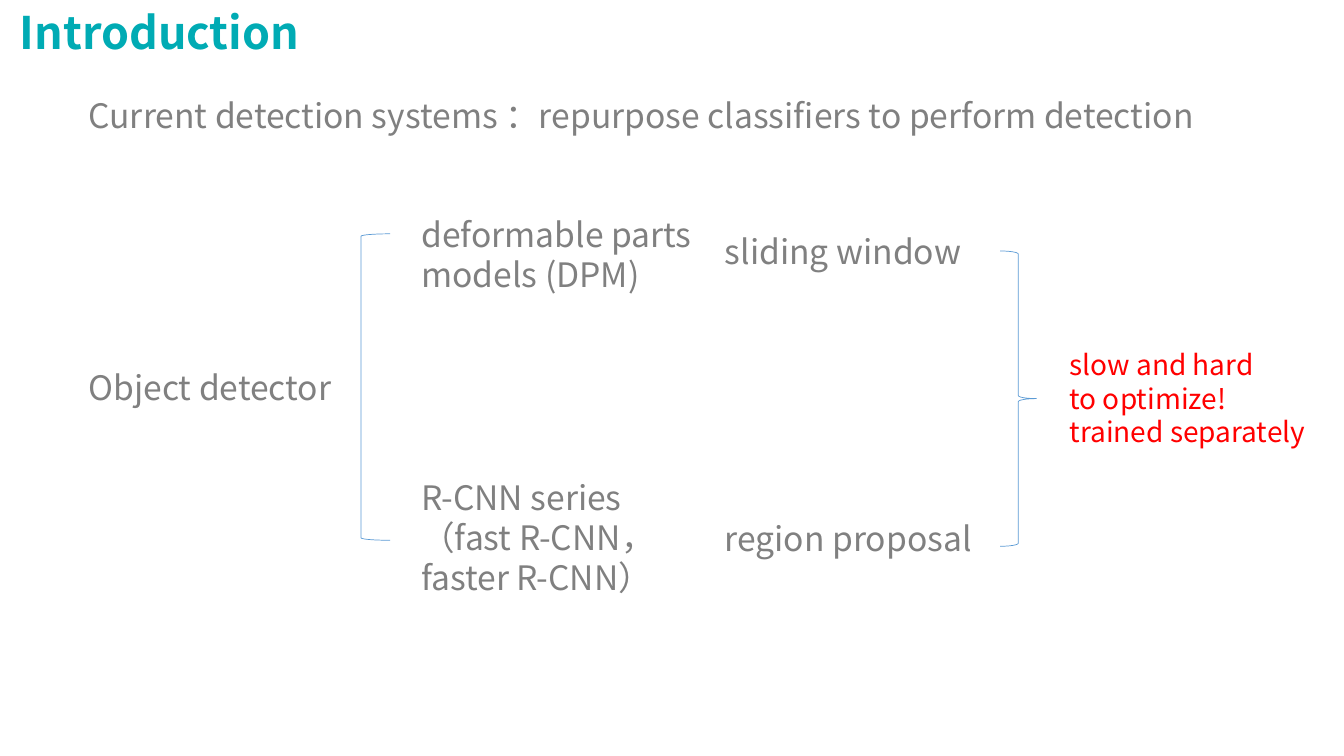
from pptx import Presentation
from pptx.dml.color import RGBColor
from pptx.enum.shapes import MSO_SHAPE
from pptx.enum.text import MSO_AUTO_SIZE
from pptx.util import Pt

PX = 9144  # EMU per px, 100 px to the inch
LEFT_BRACKET, RIGHT_BRACE = MSO_SHAPE.LEFT_BRACKET, MSO_SHAPE.RIGHT_BRACE
FIT_SHAPE = MSO_AUTO_SIZE.SHAPE_TO_FIT_TEXT

THEME = {
    "font": "Noto Sans CJK SC",
    "line": RGBColor(0x5B, 0x9B, 0xD5),
    "line_width": Pt(0.5),
    # style: size, colour, bold
    "title": (Pt(32), RGBColor(0x00, 0xAB, 0xB4), True),
    "body": (Pt(24), RGBColor(0x80, 0x80, 0x80), False),
    "alert": (Pt(20), RGBColor(0xFF, 0x00, 0x00), False),
}


def add_text(box, style, *lines, wrap=True):
    tf = s.shapes.add_textbox(*(v * PX for v in box)).text_frame
    tf.word_wrap = wrap
    tf.auto_size = FIT_SHAPE
    tf.text = "\n".join(lines)
    for p in tf.paragraphs:
        p.font.name = THEME["font"]
        p.font.size, p.font.color.rgb, p.font.bold = THEME[style]


def add_bracket(kind, box):
    sp = s.shapes.add_shape(kind, *(v * PX for v in box))
    sp.shadow.inherit = False
    sp.fill.background()
    sp.line.color.rgb = THEME["line"]
    sp.line.width = THEME["line_width"]


prs = Presentation()
prs.slide_width, prs.slide_height = 1333 * PX, 750 * PX
s = prs.slides.add_slide(prs.slide_layouts[6])

ROOT_X, METHOD_X, STEP_X, COLUMN_W, LINE_H = 78, 408, 709, 301, 50

add_text((10, 0, 304, 64), "title", "Introduction", wrap=False)
add_text((ROOT_X, 89, 1160, LINE_H), "body",
         "Current detection systems ：repurpose classifiers to perform detection", wrap=False)

add_text((ROOT_X, 359, 272, LINE_H), "body", "Object detector", wrap=False)
add_bracket(LEFT_BRACKET, (358, 232, 29, 304))

add_text((METHOD_X, 207, COLUMN_W, 91), "body", "deformable parts", "models (DPM)")
add_text((METHOD_X, 468, COLUMN_W, 131), "body", "R-CNN series（fast R-CNN，faster R-CNN）")

for y, step in ((224, "sliding window"), (509, "region proposal")):
    add_text((STEP_X, y, COLUMN_W, LINE_H), "body", step)

add_bracket(RIGHT_BRACE, (992, 249, 36, 293))
add_text((1051, 340, 261, 111), "alert", "slow and hard", "to optimize!", "trained separately")

prs.save("out.pptx")
